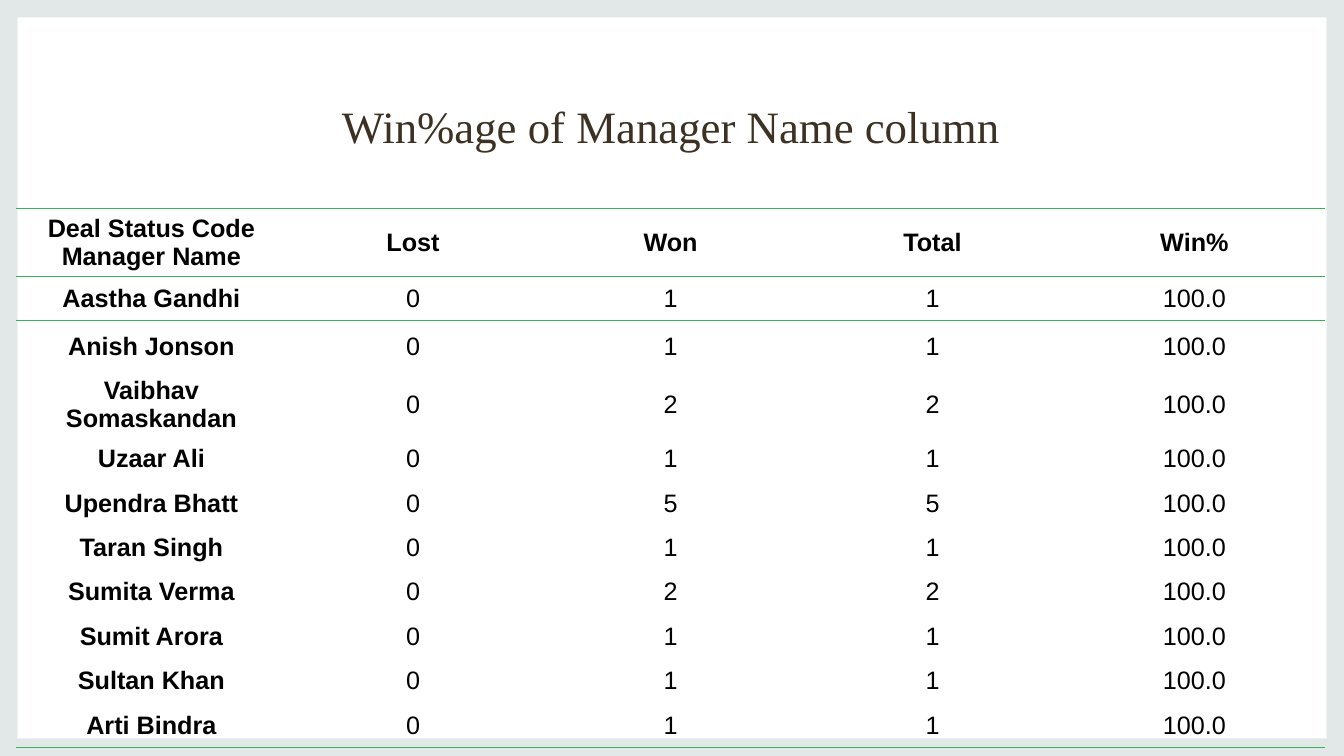
import pptx
import pptx.dml.color
import pptx.enum.shapes
import pptx.enum.text
import pptx.oxml
import pptx.oxml.ns
import pptx.util

Cm = pptx.util.Cm
Pt = pptx.util.Pt
RGBColor = pptx.dml.color.RGBColor
CENTER = pptx.enum.text.PP_ALIGN.CENTER
MIDDLE = pptx.enum.text.MSO_ANCHOR.MIDDLE

FRAME_GREY = RGBColor(0xE2, 0xE7, 0xE8)
BROWN = RGBColor(0x3C, 0x31, 0x22)
BLACK = RGBColor(0, 0, 0)
GREEN = RGBColor(0x3B, 0xB1, 0x59)
NO_STYLE = "{2D5ABB26-0587-4C30-8999-92F81FD0307C}"

HEADER = ["Deal Status Code\nManager Name", "Lost", "Won", "Total", "Win%"]
MANAGERS = [
    ("Aastha Gandhi", 1),
    ("Anish Jonson", 1),
    ("Vaibhav Somaskandan", 2),
    ("Uzaar Ali", 1),
    ("Upendra Bhatt", 5),
    ("Taran Singh", 1),
    ("Sumita Verma", 2),
    ("Sumit Arora", 1),
    ("Sultan Khan", 1),
    ("Arti Bindra", 1),
]
COLUMN_WIDTHS = [6.81, 6.38] + [6.6] * 3
ROW_HEIGHTS = [1.7, 1.12, 1.3, 1.45] + [1.12] * 7


class SlideBuilder:
    title_font = "Times New Roman"
    body_font = "Arial"

    def __init__(self, prs):
        self.prs = prs
        self.s = prs.slides.add_slide(prs.slide_layouts[5])

    def format_text(self, tf, font, size, color, bold=False):
        tf.vertical_anchor = MIDDLE
        for p in tf.paragraphs:
            p.alignment = CENTER
            for r in p.runs:
                r.font.name = font
                r.font.size = Pt(size)
                r.font.bold = bold
                r.font.color.rgb = color

    def frame(self, thickness):
        width, height = self.prs.slide_width, self.prs.slide_height
        sp = self.s.shapes.add_shape(
            pptx.enum.shapes.MSO_SHAPE.FRAME, 0, 0, width, height)
        sp.adjustments[0] = Cm(thickness) / height
        sp.shadow.inherit = False
        sp.fill.solid()
        sp.fill.fore_color.rgb = FRAME_GREY
        sp.line.fill.background()
        sp.element.getparent().insert(2, sp.element)

    def title(self, text, left, top, width, height):
        sp = self.s.shapes.title
        sp.left, sp.top = Cm(left), Cm(top)
        sp.width, sp.height = Cm(width), Cm(height)
        tf = sp.text_frame
        tf.text = text
        tf.paragraphs[0].line_spacing = 1.1
        self.format_text(tf, self.title_font, 32, BROWN)

    def border(self, cell, sides):
        tc_pr = cell._tc.get_or_add_tcPr()
        for i, side in enumerate(sides):
            tc_pr.insert(i, pptx.oxml.parse_xml(
                f'<a:ln{side} {pptx.oxml.ns.nsdecls("a")} w="{Pt(1)}">'
                f'<a:solidFill><a:srgbClr val="{GREEN}"/></a:solidFill>'
                f'</a:ln{side}>'))

    def table(self, rows, left, top, widths, heights):
        table = self.s.shapes.add_table(
            len(rows), len(widths), Cm(left), Cm(top),
            Cm(sum(widths)), Cm(sum(heights))).table
        table.horz_banding = False
        table.first_row = False
        style = next(table._tbl.iter(pptx.oxml.ns.qn("a:tableStyleId")))
        style.text = NO_STYLE
        for column, width in zip(table.columns, widths):
            column.width = Cm(width)
        for row, height in zip(table.rows, heights):
            row.height = Cm(height)
        borders = {0: "TB", 1: "T", len(rows) - 1: "B"}
        for i, values in enumerate(rows):
            for j, value in enumerate(values):
                cell = table.cell(i, j)
                cell.text_frame.text = value
                cell.vertical_anchor = MIDDLE
                cell.margin_left = cell.margin_right = Cm(0.23)
                cell.margin_top = cell.margin_bottom = Cm(0.1)
                cell.fill.background()
                self.format_text(cell.text_frame, self.body_font, 18, BLACK,
                                 bold=i == 0 or j == 0)
                self.border(cell, borders.get(i, ""))


def main():
    prs = pptx.Presentation()
    prs.slide_width, prs.slide_height = Cm(33.87), Cm(19.05)
    slide = SlideBuilder(prs)
    slide.frame(0.44)
    slide.title("Win%age of Manager Name column", 2.84, 2, 28.14, 2.18)
    rows = [HEADER] + [[name, "0", str(won), str(won), "100.0"]
                       for name, won in MANAGERS]
    slide.table(rows, 0.41, 5.26, COLUMN_WIDTHS, ROW_HEIGHTS)
    prs.save("out.pptx")


if __name__ == "__main__":
    main()
